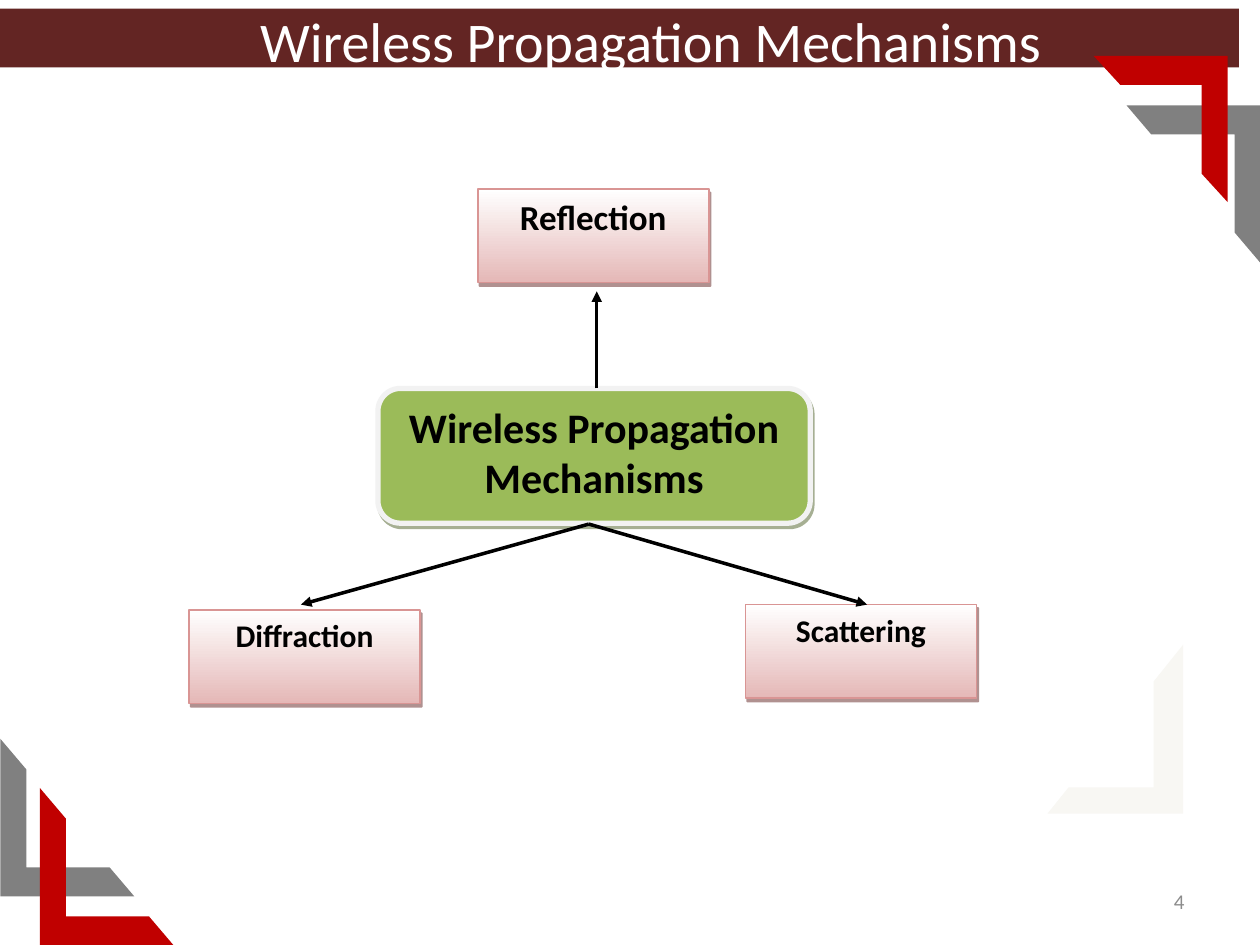
import pptx
import pptx.dml.color
import pptx.enum.dml
import pptx.enum.shapes
import pptx.enum.text
import pptx.oxml
import pptx.oxml.ns
import pptx.util

Pt = pptx.util.Pt
SHAPES = pptx.enum.shapes.MSO_SHAPE
ALIGN = pptx.enum.text.PP_ALIGN
ANCHOR = pptx.enum.text.MSO_ANCHOR
NAMESPACE = pptx.oxml.ns.nsdecls("a")

# left, top, width, height, rotation, colour
CORNER_FRAMES = [
    (598.5, 368.5, 77.5, 96.5, 180, "F8F7F3"),
    (-6.5, 429, 90, 76.5, 270, "808080"),
    (637, 67, 90, 76.5, 90, "808080"),
    (16, 457, 90, 76.5, 270, "C00000"),
    (621.5, 35.5, 83.5, 76.5, 90, "C00000"),
]
# text, left, top, font size
MECHANISMS = [
    ("Scattering", 426, 345.5, 18),
    ("Diffraction", 108, 348.5, 18),
    ("Reflection", 273, 108, 20),
]
# start x, start y, end x, end y
ARROWS = [
    (341, 222, 341, 166.5),
    (336.5, 299.5, 172, 345.5),
    (336.5, 299.5, 495.5, 345.5),
]


def colour(value):
    return pptx.dml.color.RGBColor.from_string(value)


def set_attributes(target, values):
    for name, value in values.items():
        setattr(target, name, value)


def write_text(shape, text, size, text_colour, align, bold=False,
               anchor=ANCHOR.TOP, space_after=0):
    frame = shape.text_frame
    set_attributes(frame, {
        "text": text, "word_wrap": True, "vertical_anchor": anchor,
        "auto_size": pptx.enum.text.MSO_AUTO_SIZE.NONE,
        "margin_left": Pt(7.2), "margin_right": Pt(7.2),
        "margin_top": Pt(3.6), "margin_bottom": Pt(3.6),
    })
    paragraph = frame.paragraphs[0]
    set_attributes(paragraph, {
        "alignment": align, "space_before": Pt(0),
        "space_after": Pt(space_after),
    })
    font = paragraph.runs[0].font
    set_attributes(font, {"name": "Calibri", "size": Pt(size), "bold": bold})
    font.color.rgb = colour(text_colour)


def add_plain_shape(slide, kind, left, top, width, height):
    shape = slide.shapes.add_shape(kind, Pt(left), Pt(top), Pt(width), Pt(height))
    shape.shadow.inherit = False
    shape.line.fill.background()
    return shape


def fill_solid(shape, fill_colour):
    shape.fill.solid()
    shape.fill.fore_color.rgb = colour(fill_colour)


def add_corner_frame(slide, left, top, width, height, rotation, fill_colour):
    frame = add_plain_shape(slide, SHAPES.HALF_FRAME, left, top, width, height)
    frame.rotation = rotation
    frame.adjustments[0] = 0.194
    frame.adjustments[1] = 0.217
    fill_solid(frame, fill_colour)


def outline(shape, line_colour, width):
    shape.line.color.rgb = colour(line_colour)
    shape.line.width = Pt(width)


def cast_shadow(shape, shadow_colour):
    effects = shape.element.spPr.find(pptx.oxml.ns.qn("a:effectLst"))
    effects.append(pptx.oxml.parse_xml(
        f'<a:outerShdw {NAMESPACE} blurRad="0" dist="{Pt(2.2)}" '
        f'dir="{63 * 60000}" algn="ctr" rotWithShape="0">'
        f'<a:srgbClr val="{shadow_colour}"><a:alpha val="50000"/></a:srgbClr>'
        '</a:outerShdw>'))


def add_mechanism(slide, text, left, top, size):
    box = add_plain_shape(slide, SHAPES.RECTANGLE, left, top, 132, 53.5)
    box.fill.gradient()
    box.fill.gradient_angle = 270
    for stop, stop_colour in zip(box.fill.gradient_stops, ("FFFFFF", "E5B8B7")):
        stop.color.rgb = colour(stop_colour)
    outline(box, "D99594", 1)
    cast_shadow(box, "622423")
    write_text(box, text, size, "000000", ALIGN.CENTER, bold=True, space_after=10)


def add_centre_box(slide):
    box = add_plain_shape(slide, SHAPES.ROUNDED_RECTANGLE, 216, 222, 247, 77)
    fill_solid(box, "9BBB59")
    outline(box, "F2F2F2", 3)
    cast_shadow(box, "4E6128")
    write_text(box, "Wireless Propagation Mechanisms", 24, "000000",
               ALIGN.CENTER, bold=True, space_after=10)


def add_arrow(slide, *ends):
    arrow = slide.shapes.add_connector(
        pptx.enum.shapes.MSO_CONNECTOR.STRAIGHT, *map(Pt, ends))
    outline(arrow, "000000", 2)
    arrow.line._get_or_add_ln().append(
        pptx.oxml.parse_xml(f'<a:tailEnd {NAMESPACE} type="triangle"/>'))
    arrow.element.spPr.append(pptx.oxml.parse_xml(f'<a:effectLst {NAMESPACE}/>'))


def place_title(slide):
    title = slide.shapes.title
    set_attributes(title, {"left": Pt(78), "top": Pt(0),
                           "width": Pt(588), "height": Pt(46)})
    write_text(title, "Wireless Propagation Mechanisms", 32, "FFFFFF", ALIGN.CENTER)
    # Bring the title in front of the bar
    title.element.getparent().append(title.element)


def add_page_number(slide):
    box = slide.shapes.add_textbox(Pt(516), Pt(500.5), Pt(168), Pt(28.5))
    write_text(box, "4", 12, "8C8C8C", ALIGN.RIGHT, anchor=ANCHOR.MIDDLE)


def main():
    presentation = pptx.Presentation()
    set_attributes(presentation, {"slide_width": Pt(720), "slide_height": Pt(540)})
    slide = presentation.slides.add_slide(presentation.slide_layouts[5])

    # Title bar and corner decoration
    fill_solid(add_plain_shape(slide, SHAPES.RECTANGLE, 0, 5, 708, 33.5), "632523")
    for frame in CORNER_FRAMES:
        add_corner_frame(slide, *frame)
    add_page_number(slide)
    place_title(slide)

    # Diagram
    add_centre_box(slide)
    for mechanism in MECHANISMS:
        add_mechanism(slide, *mechanism)
    for arrow in ARROWS:
        add_arrow(slide, *arrow)

    presentation.save("out.pptx")


if __name__ == "__main__":
    main()
